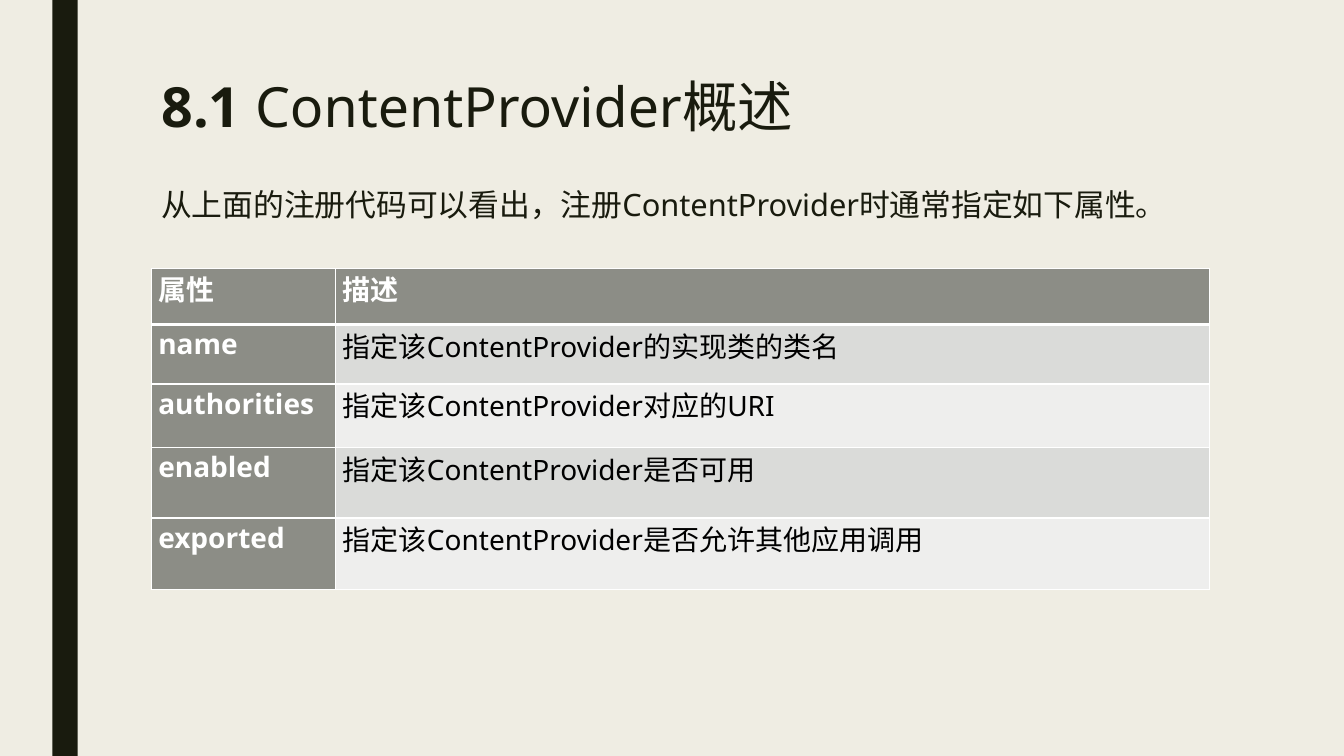
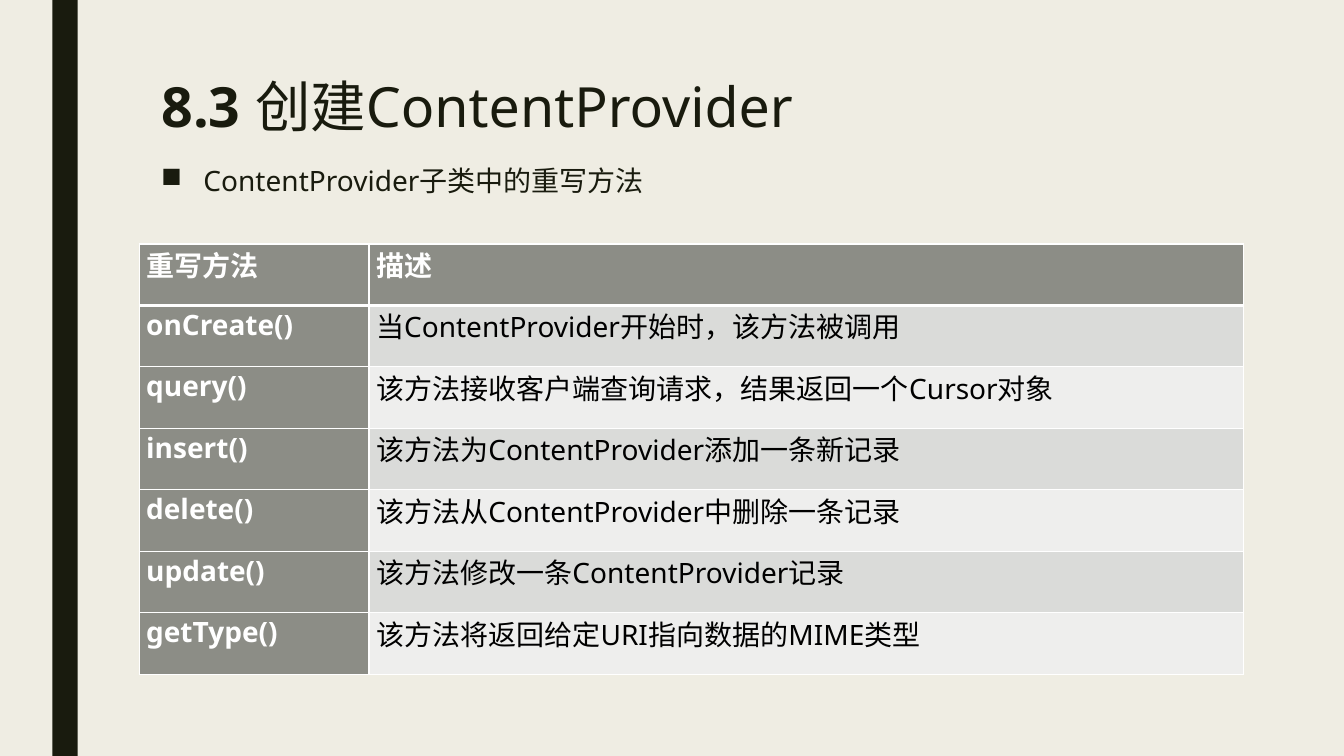
from pptx import Presentation
from pptx.dml.color import RGBColor
from pptx.enum.shapes import MSO_SHAPE
from pptx.enum.text import MSO_ANCHOR, MSO_AUTO_SIZE, PP_ALIGN
from pptx.oxml import parse_xml
from pptx.oxml.ns import nsdecls
from pptx.util import Inches, Pt

TITLE_ONLY = 5


def rgb(value):
    """Turn a hex string into a colour."""
    return RGBColor.from_string(value)


class Deck:
    """Hold the shared style and the current slide."""

    FONT = "Noto Sans"
    INK, PAPER, WHITE, BLACK = "191B0E", "EFEDE3", "FFFFFF", "000000"
    HEAD, BANDS = "8C8D86", ("DADBD9", "EEEEED")

    def __init__(self):
        """Start the presentation and set its background."""
        self.prs = Presentation()
        self.prs.slide_width, self.prs.slide_height = Inches(13.33), Inches(7.5)
        fill = self.prs.slide_master.background.fill
        fill.solid()
        fill.fore_color.rgb = rgb(self.PAPER)

    def run(self, p, text, size, color, bold=False):
        """Add one styled run."""
        r = p.add_run()
        r.text = text
        r.font.name, r.font.size, r.font.bold = self.FONT, Pt(size), bold
        r.font.color.rgb = rgb(color)
        r.font._element.set("lang", "zh-CN")

    def slide(self, number, title):
        """Add a slide with its side bar and title."""
        self.s = self.prs.slides.add_slide(self.prs.slide_layouts[TITLE_ONLY])
        bar = self.s.shapes.add_shape(
            MSO_SHAPE.RECTANGLE, Inches(0.52), 0, Inches(0.25), self.prs.slide_height)
        bar.shadow.inherit = False
        bar.fill.solid()
        bar.fill.fore_color.rgb = rgb(self.INK)
        bar.line.fill.background()
        sp = self.s.shapes.title
        sp.left, sp.top, sp.width, sp.height = map(Inches, (1.5, 0.75, 10.5, 1.04))
        tf = sp.text_frame
        tf.auto_size, tf.vertical_anchor = MSO_AUTO_SIZE.NONE, MSO_ANCHOR.TOP
        p = tf.paragraphs[0]
        p.alignment, p.line_spacing = PP_ALIGN.LEFT, 0.89
        self.run(p, number + " ", 39.6, self.INK, True)
        self.run(p, title, 39.6, self.INK)

    def body(self, text, top, height, size, bullet=False):
        """Add the introductory line above a table."""
        sp = self.s.shapes.add_textbox(*map(Inches, (1.5, top, 10.5, height)))
        tf = sp.text_frame
        tf.word_wrap = True
        p = tf.paragraphs[0]
        p.line_spacing, p.space_before, p.space_after = 0.94, Pt(10), Pt(2)
        if bullet:
            pPr = p._p.get_or_add_pPr()
            pPr.set("marL", str(Inches(0.42)))
            pPr.set("indent", str(-Inches(0.42)))
            pPr.append(parse_xml(f'<a:buChar {nsdecls("a")} char="■"/>'))
        self.run(p, text, size, self.INK)

    def borders(self, cell, top, bottom):
        """Draw the four white borders of a cell."""
        tcPr = cell._tc.get_or_add_tcPr()
        widths = {"lnL": 1, "lnR": 1, "lnT": top, "lnB": bottom}
        for i, (tag, width) in enumerate(widths.items()):
            tcPr.insert(i, parse_xml(
                f'<a:{tag} {nsdecls("a")} w="{Pt(width)}"><a:solidFill>'
                f'<a:srgbClr val="{self.WHITE}"/></a:solidFill></a:{tag}>'))

    def table(self, left, top, widths, heights, rows):
        """Add a table with a dark header row and first column."""
        tb = self.s.shapes.add_table(
            len(rows), len(widths), Inches(left), Inches(top),
            Inches(sum(widths)), Inches(sum(heights))).table
        for col, width in zip(tb.columns, widths):
            col.width = Inches(width)
        for i, (height, texts) in enumerate(zip(heights, rows)):
            tb.rows[i].height = Inches(height)
            for j, text in enumerate(texts):
                cell = tb.cell(i, j)
                dark = i == 0 or j == 0
                cell.margin_left = cell.margin_right = Inches(0.07)
                cell.margin_top = cell.margin_bottom = 0
                cell.fill.solid()
                cell.fill.fore_color.rgb = rgb(self.HEAD if dark else self.BANDS[(i - 1) % 2])
                self.borders(cell, 3 if i == 1 else 1, 3 if i == 0 else 1)
                p = cell.text_frame.paragraphs[0]
                p.alignment = PP_ALIGN.JUSTIFY
                self.run(p, text, 20, self.WHITE if dark else self.BLACK, dark)


deck = Deck()

deck.slide("8.1", "ContentProvider概述")
deck.body("从上面的注册代码可以看出，注册ContentProvider时通常指定如下属性。", 1.82, 0.76, 22)
deck.table(1.5, 2.66, (1.83, 8.67), (0.56, 0.59, 0.63, 0.7, 0.71), [
    ("属性", "描述"),
    ("name", "指定该ContentProvider的实现类的类名"),
    ("authorities", "指定该ContentProvider对应的URI"),
    ("enabled", "指定该ContentProvider是否可用"),
    ("exported", "指定该ContentProvider是否允许其他应用调用"),
])

deck.slide("8.3", "创建ContentProvider")
deck.body("ContentProvider子类中的重写方法", 1.6, 0.81, 20, bullet=True)
methods = [
    ("重写方法", "描述"),
    ("onCreate()", "当ContentProvider开始时，该方法被调用"),
    ("query()", "该方法接收客户端查询请求，结果返回一个Cursor对象"),
    ("insert()", "该方法为ContentProvider添加一条新记录"),
    ("delete()", "该方法从ContentProvider中删除一条记录"),
    ("update()", "该方法修改一条ContentProvider记录"),
    ("getType()", "该方法将返回给定URI指向数据的MIME类型"),
]
deck.table(1.38, 2.42, (2.28, 8.67), [0.61] * len(methods), methods)

deck.prs.save("out.pptx")
